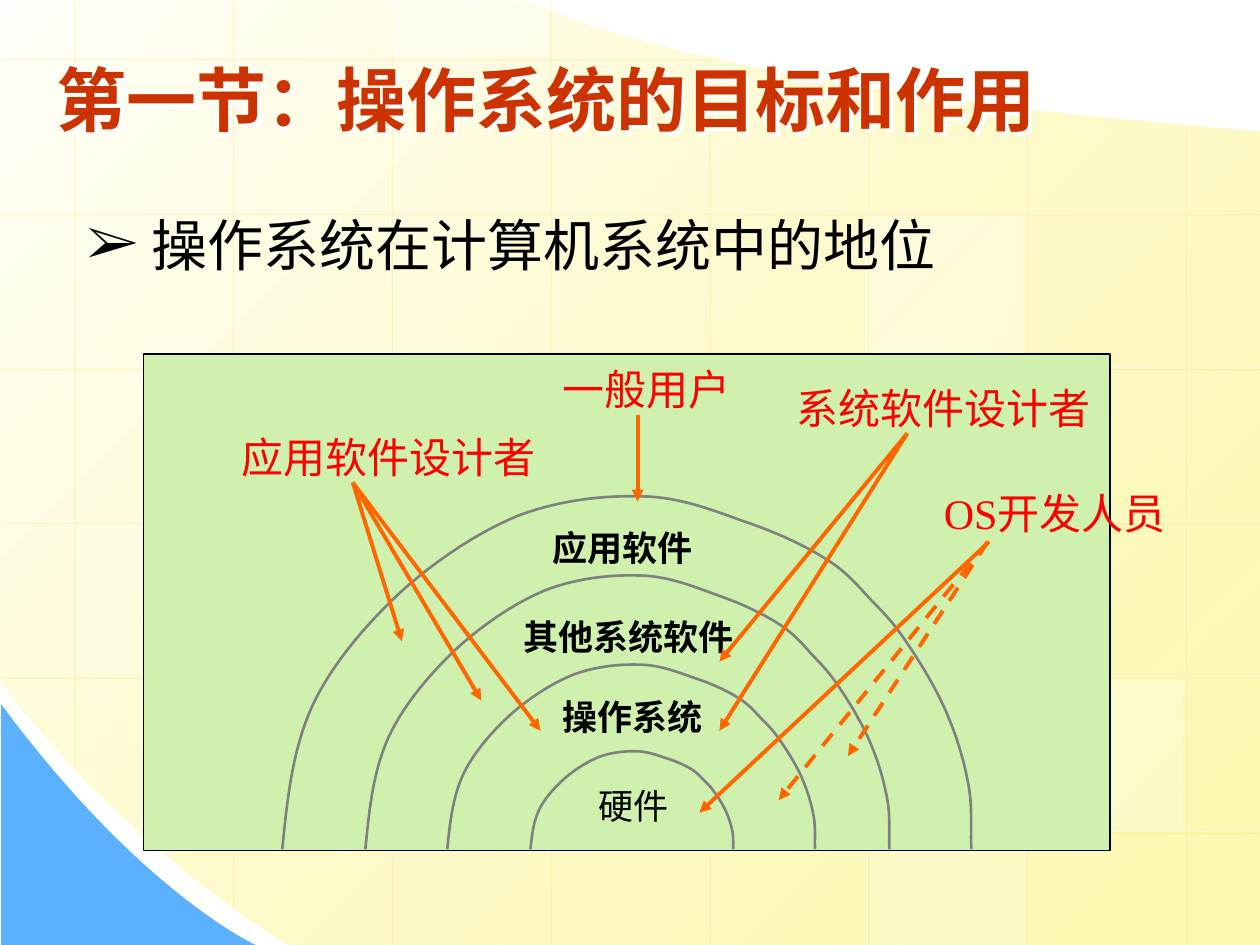
import pptx
import pptx.util
import pptx.dml.color
import pptx.enum.dml
import pptx.enum.shapes
import pptx.enum.text
import pptx.oxml
import pptx.oxml.ns
from lxml import etree

PX = 9144
RGB = pptx.dml.color.RGBColor
WHITE = RGB(0xFF, 0xFF, 0xFF)
BLACK = RGB(0, 0, 0)
IVORY = RGB(0xFF, 0xFF, 0xFB)
CREAM = RGB(0xFD, 0xF5, 0x8D)
BLUE = RGB(0x5C, 0xB1, 0xFE)
GREEN = RGB(0xCF, 0xF1, 0xAD)
GRAY = RGB(0x80, 0x80, 0x80)
ORANGE = RGB(0xFF, 0x66, 0x00)
RED = RGB(0xFF, 0, 0)
RUST = RGB(0xCC, 0x33, 0)
GOLD = RGB(0xFF, 0xCC, 0)
SERIF = "Times New Roman"
SANS = "Arial"
ALIGN = pptx.enum.text.PP_ALIGN
ANCHOR = pptx.enum.text.MSO_ANCHOR

PAGE = [[(1000, 104)], [(1000, 427), (1000, 750), (1000, 750)],
        [(1000, 750), (615, 750), (230, 750)], [(86, 661), (-1, 539), (0, 539)],
        [(-1, -1)], [(421, 1)], [(421, 1), (537, 69), (1000, 104)]]
WAVE = [[(1, 559)], [(1, 655), (1, 750), (1, 750)], [(203, 750)],
        [(203, 750), (112, 709), (1, 559)]]
ARCH = [[(224, 674)], [(228, 634), (232, 595), (248, 560)],
        [(264, 526), (292, 494), (319, 469)], [(347, 444), (380, 422), (412, 409)],
        [(444, 397), (479, 393), (509, 394)], [(538, 394), (566, 405), (591, 414)],
        [(615, 422), (639, 433), (656, 444)], [(674, 455), (684, 469), (695, 480)],
        [(707, 492), (713, 500), (723, 515)], [(733, 530), (746, 552), (753, 570)],
        [(761, 589), (766, 608), (769, 625)], [(772, 642), (770, 664), (771, 674)]]
FOOT = 674
RINGS = [(421, 582, 596), (355, 647, 527), (290, 706, 456), (224, 771, 393)]


def px(*nums):
    return [pptx.util.Emu(round(n * PX)) for n in nums]


def tag(name):
    return pptx.oxml.ns.qn("a:" + name)


def alpha(props, color, pct):
    for clr in props.iter(tag("srgbClr")):
        if clr.get("val") == str(color):
            etree.SubElement(clr, tag("alpha")).set("val", str(pct * 1000))


def effect(color=None, pct=100, dist=0):
    shade = "" if color is None else (
        f'<a:outerShdw dist="{dist}" dir="2700000" algn="ctr" rotWithShape="0">'
        f'<a:srgbClr val="{color}"><a:alpha val="{pct * 1000}"/></a:srgbClr></a:outerShdw>')
    return pptx.oxml.parse_xml(
        f'<a:effectLst {pptx.oxml.ns.nsdecls("a")}>{shade}</a:effectLst>')


def free(slide, parts, closed=False):
    (start,), *rest = [[(x * PX, y * PX) for x, y in part] for part in parts]
    form = slide.shapes.build_freeform(*start, scale=1.0)
    form.add_line_segments([dot for part in rest for dot in part], close=closed)
    shape = form.convert_to_shape()
    steps = iter(list(shape._element.spPr.iter(tag("lnTo"))))
    for part in rest:
        group = [next(steps) for _ in part]
        if len(group) == 3:
            bend = etree.Element(tag("cubicBezTo"))
            group[0].addprevious(bend)
            for step in group:
                bend.append(step[0])
                step.getparent().remove(step)
    shape.shadow.inherit = False
    shape.fill.background()
    shape.line.fill.background()
    return shape


def rect(slide, box, color, edge=None, pct=100):
    kind = pptx.enum.shapes.MSO_SHAPE.RECTANGLE
    shape = slide.shapes.add_shape(kind, *px(*box))
    shape.shadow.inherit = False
    shape.fill.solid()
    shape.fill.fore_color.rgb = color
    if pct < 100:
        alpha(shape._element.spPr, color, pct)
    if edge is None:
        shape.line.fill.background()
    else:
        shape.line.color.rgb = edge
        shape.line.width = pptx.util.Pt(0.75)


def line(slide, start, end, color, width):
    kind = pptx.enum.shapes.MSO_CONNECTOR.STRAIGHT
    link = slide.shapes.add_connector(kind, *px(*start, *end))
    link.line.color.rgb = color
    link.line.width = pptx.util.Pt(width)
    return link


def rule(slide, start, end):
    link = line(slide, start, end, WHITE, 0.75)
    alpha(link._element.spPr, WHITE, 50)
    link._element.spPr.append(effect(GOLD, 34, 17780))


def arrow(slide, start, end, dashed=False):
    link = line(slide, start, end, ORANGE, 2.25)
    if dashed:
        link.line.dash_style = pptx.enum.dml.MSO_LINE.DASH
    tail = etree.SubElement(link.line._get_or_add_ln(), tag("tailEnd"))
    tail.set("type", "triangle")
    link._element.spPr.append(effect())


def write(shape, text, size=24, font=SERIF, color=BLACK, bold=False,
          align=ALIGN.CENTER, anchor=ANCHOR.MIDDLE, wrap=False, bullet=None):
    frame = shape.text_frame
    frame.auto_size = pptx.enum.text.MSO_AUTO_SIZE.NONE
    frame.word_wrap = wrap
    frame.vertical_anchor = anchor
    para = frame.paragraphs[0]
    para.alignment = align
    if bullet:
        props = para._p.get_or_add_pPr()
        etree.SubElement(props, tag("buFont")).set("typeface", font)
        etree.SubElement(props, tag("buChar")).set("char", bullet)
    run = para.add_run()
    run.text = text
    run.font.size = pptx.util.Pt(size)
    run.font.name = font
    run.font.bold = bold
    run.font.color.rgb = color


def label(slide, left, top, text, **style):
    write(slide.shapes.add_textbox(*px(left, top, 192, 41)), text, **style)


def back(slide):
    page = free(slide, PAGE, closed=True)
    page.fill.gradient()
    page.fill.gradient_angle = 315
    for stop, color in zip(page.fill.gradient_stops, (IVORY, CREAM)):
        stop.color.rgb = color
    alpha(page._element.spPr, CREAM, 70)
    wave = free(slide, WAVE, closed=True)
    wave.fill.solid()
    wave.fill.fore_color.rgb = BLUE
    spans = [(0, 609), (0, 719), (0, 750), (0, 752),
             (43, 752), (68, 752), (85, 752), (98, 752)]
    for i, (top, end) in enumerate(spans):
        rule(slide, (58 + 126 * i, top), (58 + 126 * i, end))
    spans = [(568, 0), (1001, 0), (1001, 0), (1001, 0), (1001, 0), (997, 111)]
    for i, (right, left) in enumerate(spans):
        y = round(46 + 122.8 * i)
        rule(slide, (right, y), (left, y))
    for left, top, high, pct in [(816, 540, 118, 30), (60, 416, 118, 20),
                                 (690, 663, 87, 20), (311, 0, 44, 40),
                                 (689, 171, 118, 30)]:
        rect(slide, (left, top, 123, high), WHITE, pct=pct)


def rings(slide):
    left, right, top = RINGS[-1]
    for x, end, y in RINGS:
        wide = (end - x) / (right - left)
        high = (FOOT - y) / (FOOT - top)
        arch = free(slide, [[(x + (a - left) * wide, FOOT + (b - FOOT) * high)
                             for a, b in part] for part in ARCH])
        arch.line.color.rgb = GRAY
        arch.line.width = pptx.util.Pt(1.5)
    label(slide, 407, 619, "硬件", size=20)
    for x, y, text in [(406, 548, "操作系统"), (403, 485, "其他系统软件"),
                       (398, 414, "应用软件")]:
        label(slide, x, y, text, size=20, font=SANS, bold=True)


def roles(slide):
    for x, y, text, start, ends in [
            (417, 288, "一般用户", (506, 329), [(506, 398)]),
            (653, 303, "系统软件设计者", (720, 344), [(571, 525), (571, 580)]),
            (741, 386, "OS开发人员", (785, 430), [(555, 645)]),
            (212, 342, "应用软件设计者", (280, 383),
             [(429, 580), (382, 556), (319, 509)])]:
        label(slide, x, y, text, color=RED)
        for end in ends:
            arrow(slide, start, end)
    for end in [(618, 635), (673, 600)]:
        arrow(slide, (784, 430), end, dashed=True)


def heads(slide):
    title = slide.shapes.title
    slide.shapes._spTree.append(title._element)
    title.left, title.top, title.width, title.height = px(35, 28, 900, 101)
    write(title, "第一节：操作系统的目标和作用", size=40, font=SANS,
          color=RUST, bold=True, align=ALIGN.LEFT, wrap=True)
    title._element.spPr.append(effect(WHITE, 100, 35560))
    write(slide.shapes.add_textbox(*px(59, 162, 858, 63)), " 操作系统在计算机系统中的地位",
          size=32, align=ALIGN.LEFT, anchor=ANCHOR.TOP, wrap=True, bullet="➢")


def main():
    deck = pptx.Presentation()
    deck.slide_width, deck.slide_height = px(1000, 750)
    slide = deck.slides.add_slide(deck.slide_layouts[5])
    back(slide)
    heads(slide)
    rect(slide, (114, 281, 767, 394), GREEN, edge=BLACK)
    rings(slide)
    roles(slide)
    deck.save("out.pptx")


if __name__ == "__main__":
    main()
